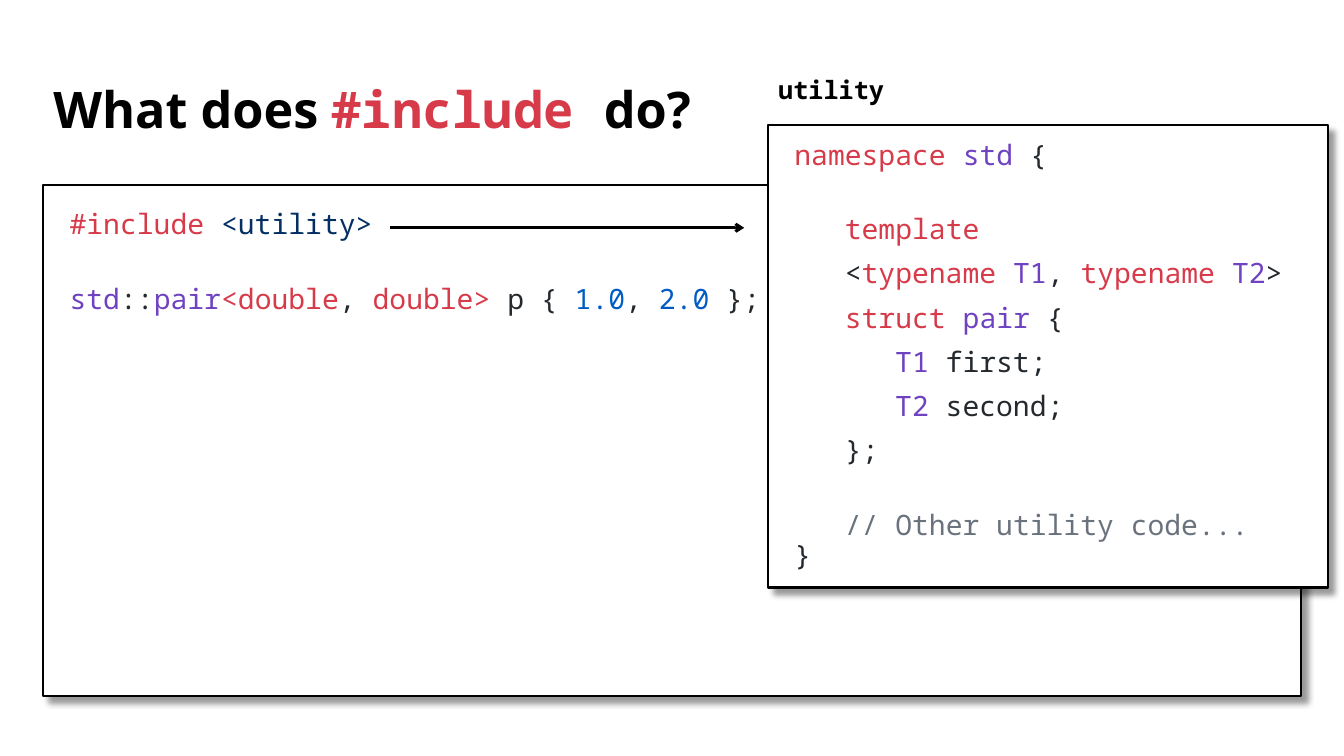
from lxml.etree import SubElement
from pptx import Presentation
from pptx.dml.color import RGBColor
from pptx.enum.shapes import MSO_CONNECTOR, MSO_SHAPE
from pptx.enum.text import MSO_ANCHOR, PP_ALIGN
from pptx.oxml.ns import qn
from pptx.util import Emu, Inches, Pt

COLORS = {
    "white": "FFFFFF", "black": "000000", "title": "D73A48", "key": "D73A49",
    "text": "24292E", "path": "032F62", "type": "6F42C1", "num": "005CC5",
    "note": "6A737D",
}
SANS, MONO = "Open Sans", "Noto Sans Mono"
NEAR, GAP, TIGHT = 10, 31.7, 0

MAIN_CODE = [
    (0, NEAR, [("#include", "key"), (" ", "text"), ("<utility>", "path")]),
    (0, GAP, [("std", "type"), ("::", "text"), ("pair", "type"),
              ("<double", "key"), (", ", "text"), ("double>", "key"),
              (" p { ", "text"), ("1.0", "num"), (", ", "text"),
              ("2.0", "num"), (" };", "text")]),
]
HEADER_CODE = [
    (0, NEAR, [("namespace", "key"), (" ", "text"), ("std", "type"),
               (" {", "text")]),
    (1, GAP, [("template", "key")]),
    (1, NEAR, [("<", "text"), ("typename", "key"), (" ", "text"),
               ("T1", "type"), (", ", "text"), ("typename", "key"),
               (" ", "text"), ("T2", "type"), (">", "text")]),
    (1, NEAR, [("struct", "key"), (" ", "text"), ("pair", "type"),
               (" {", "text")]),
    (2, NEAR, [("T1", "type"), (" first;", "text")]),
    (2, NEAR, [("T2", "type"), (" second;", "text")]),
    (1, NEAR, [("};", "text")]),
    (1, GAP, [("// Other utility code...", "note")]),
    (0, TIGHT, [("}", "text")]),
]


def rgb(name):
    """Return the named colour."""
    return RGBColor.from_string(COLORS[name])


def part(box, x, y, w, h):
    """Return a region of a box, given in percent of the box."""
    left, top, width, height = box
    return (Emu(int(left + width * x / 100)), Emu(int(top + height * y / 100)),
            Emu(int(width * w / 100)), Emu(int(height * h / 100)))


def add_run(p, text, color, font, size, bold=False):
    """Add one styled run to a paragraph."""
    r = p.add_run()
    r.text = text
    r.font.name, r.font.size, r.font.bold = font, Pt(size), bold
    r.font.color.rgb = rgb(color)


def add_shadow(s):
    """Give a shape a soft shadow towards the lower right."""
    effects = SubElement(s._element.spPr, qn("a:effectLst"))
    shadow = SubElement(effects, qn("a:outerShdw"), blurRad=str(Pt(4)),
                        dist=str(Pt(6)), dir="2700000", algn="tl",
                        rotWithShape="0")
    color = SubElement(shadow, qn("a:srgbClr"), val=COLORS["black"])
    SubElement(color, qn("a:alpha"), val="40000")


def code_panel(slide, box, lines, anchor):
    """Draw a framed panel of coloured code lines."""
    s = slide.shapes.add_shape(MSO_SHAPE.RECTANGLE, *box)
    s.fill.solid()
    s.fill.fore_color.rgb = rgb("white")
    s.line.color.rgb, s.line.width = rgb("black"), Pt(1.5)
    add_shadow(s)
    tf = s.text_frame
    tf.word_wrap, tf.vertical_anchor = True, anchor
    tf.margin_left = tf.margin_right = Inches(0.25)
    tf.margin_top = tf.margin_bottom = Inches(0.25)
    for i, (level, before, runs) in enumerate(lines):
        p = tf.paragraphs[0] if i == 0 else tf.add_paragraph()
        p.alignment, p.line_spacing = PP_ALIGN.LEFT, 0.9
        p.space_before = Pt(before if i else 0)
        pr = p._p.get_or_add_pPr()
        pr.set("marL", str(Inches(0.01 + 0.5 * level)))
        pr.set("indent", "0")
        for text, color in runs:
            add_run(p, text, color, MONO, 20)


def arrow(slide, box):
    """Draw an arrow along the top edge of a box."""
    x, y, w, _ = box
    s = slide.shapes.add_connector(MSO_CONNECTOR.STRAIGHT, x, y, x + w, y)
    s.line.color.rgb, s.line.width = rgb("black"), Pt(2)
    SubElement(s.line._get_or_add_ln(), qn("a:tailEnd"), type="arrow")
    SubElement(s._element.spPr, qn("a:effectLst"))


def text_line(slide, box, runs, size, spacing, anchor):
    """Write one bold line of text, run by run."""
    tf = slide.shapes.add_textbox(*box).text_frame
    tf.word_wrap, tf.vertical_anchor = True, anchor
    p = tf.paragraphs[0]
    p.line_spacing = spacing
    for text, color, font in runs:
        add_run(p, text, color, font, size, True)


def main_region(slide, box):
    """Place the main program and the arrow from its include line."""
    code_panel(slide, box, MAIN_CODE, MSO_ANCHOR.TOP)
    return part(box, 27.59, 8.28, 28.15, 0)


def header_region(slide, box):
    """Place the header file's name above its code."""
    code_panel(slide, part(box, 0, 10.7, 100, 89.3), HEADER_CODE,
               MSO_ANCHOR.MIDDLE)
    text_line(slide, part(box, 0, 0, 100, 7.78),
              [("utility", "black", MONO)], 18, 1.0, MSO_ANCHOR.TOP)


def title_region(slide, box):
    """Write the slide title."""
    runs = [("What does ", "black", SANS), ("#include ", "title", MONO),
            ("do?", "black", SANS)]
    text_line(slide, box, runs, 36, 0.9, MSO_ANCHOR.MIDDLE)


def main():
    """Build the slide and save it."""
    prs = Presentation()
    prs.slide_width, prs.slide_height = Inches(13.33), Inches(7.5)
    slide = prs.slides.add_slide(prs.slide_layouts[6])
    page = (0, 0, prs.slide_width, prs.slide_height)
    arrow_box = main_region(slide, part(page, 3.23, 24.53, 93.55, 67.6))
    header_region(slide, part(page, 57.16, 9.2, 41.64, 68.53))
    arrow(slide, arrow_box)
    title_region(slide, part(page, 3.23, 9.2, 93.55, 11.2))
    prs.save("out.pptx")


if __name__ == "__main__":
    main()
